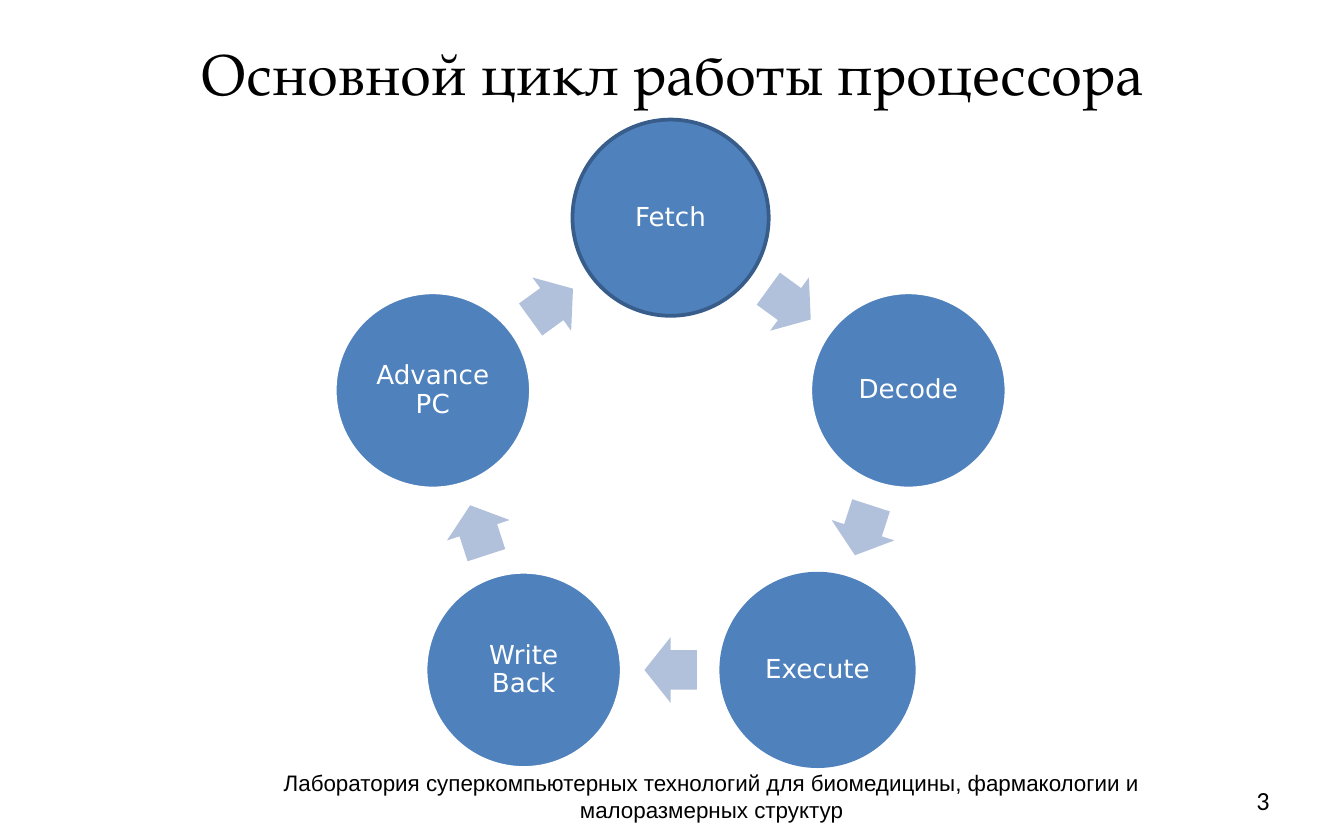
import math

from pptx import Presentation
from pptx.dml.color import RGBColor
from pptx.enum import shapes, text
from pptx.util import Inches, Pt


def rgb(value):
    return RGBColor.from_string(value)


def write(sp, words, size, font, color, align, anchor):
    tf = sp.text_frame
    tf.word_wrap = True
    tf.vertical_anchor = anchor
    p = tf.paragraphs[0]
    p.alignment = align
    r = p.add_run()
    r.text = words
    r.font.size = Pt(size)
    r.font.name = font
    r.font.color.rgb = rgb(color)
    return tf


CENTER, LEFT = text.PP_ALIGN.CENTER, text.PP_ALIGN.LEFT
MIDDLE, TOP = text.MSO_ANCHOR.MIDDLE, text.MSO_ANCHOR.TOP

prs = Presentation()
prs.slide_width, prs.slide_height = Inches(10), Inches(6.22)
s = prs.slides.add_slide(prs.slide_layouts[5])

# Title
title = s.shapes.title
title.left, title.top = Inches(0.5), Inches(0.25)
title.width, title.height = Inches(9), Inches(0.58)
write(title, "Основной цикл работы процессора", 31, "TeX Gyre Pagella",
      "000000", CENTER, MIDDLE)

# Footer and slide number
footer = s.shapes.add_textbox(Inches(1.67), Inches(5.76), Inches(7.25), Inches(0.33))
write(footer, "Лаборатория суперкомпьютерных технологий для биомедицины, "
      "фармакологии и малоразмерных структур", 12, "Arial", "000000", CENTER, MIDDLE)
number = s.shapes.add_textbox(Inches(9.25), Inches(5.79), Inches(0.56), Inches(0.33))
write(number, "3", 14, "Calibri", "000000", LEFT, TOP)

# Processor cycle: stages on a ring, an arrow halfway to the next stage
stages = [("Fetch", "385D8A"), ("Decode", "FFFFFF"), ("Execute", None),
          ("Write Back", "FFFFFF"), ("Advance PC", "FFFFFF")]
cx, cy, radius = 4.99, 3.48, 1.86
diameter, arrow_w, arrow_h = 1.46, 0.39, 0.49
step = 360 / len(stages)
arrow_radius = radius * math.cos(math.radians(step / 2))

for i, (name, outline) in enumerate(stages):
    angle = math.radians(i * step)
    x, y = cx + radius * math.sin(angle), cy - radius * math.cos(angle)
    sp = s.shapes.add_shape(shapes.MSO_SHAPE.OVAL, Inches(x - diameter / 2),
                            Inches(y - diameter / 2), Inches(diameter), Inches(diameter))
    sp.shadow.inherit = False
    sp.fill.solid()
    sp.fill.fore_color.rgb = rgb("4F81BD")
    if outline:
        sp.line.color.rgb = rgb(outline)
        sp.line.width = Pt(2)
    else:
        sp.line.fill.background()
    tf = write(sp, name, 14, "DejaVu Sans", "FFFFFF", CENTER, MIDDLE)
    tf.margin_left = tf.margin_right = tf.margin_top = tf.margin_bottom = Inches(0.03)
    tf.paragraphs[0].line_spacing = 0.9
    tf.paragraphs[0].space_after = Pt(6)

    turn = (i + 0.5) * step
    angle = math.radians(turn)
    x, y = cx + arrow_radius * math.sin(angle), cy - arrow_radius * math.cos(angle)
    arrow = s.shapes.add_shape(shapes.MSO_SHAPE.RIGHT_ARROW, Inches(x - arrow_w / 2),
                               Inches(y - arrow_h / 2), Inches(arrow_w), Inches(arrow_h))
    arrow.adjustments[0], arrow.adjustments[1] = 0.6, 0.5
    arrow.rotation = turn
    arrow.shadow.inherit = False
    arrow.fill.solid()
    arrow.fill.fore_color.rgb = rgb("B2C1DB")
    arrow.line.fill.background()

prs.save("out.pptx")
